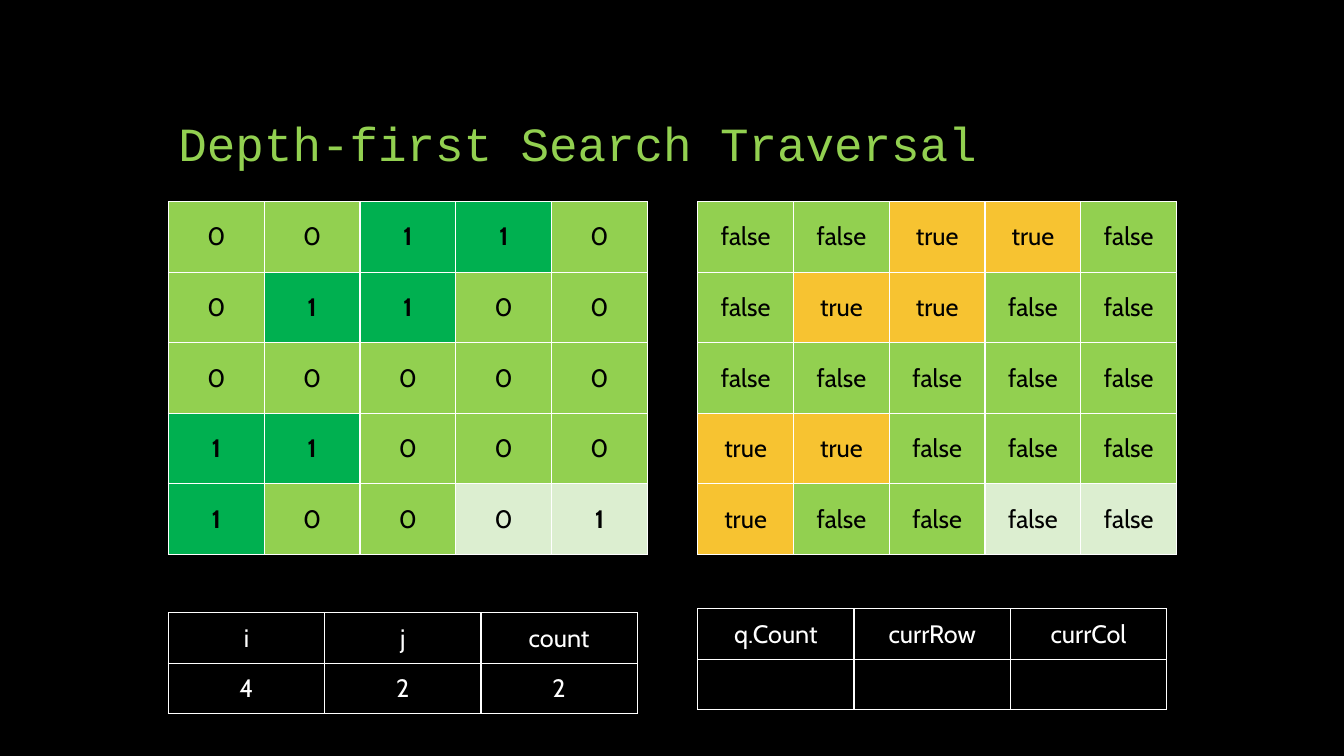
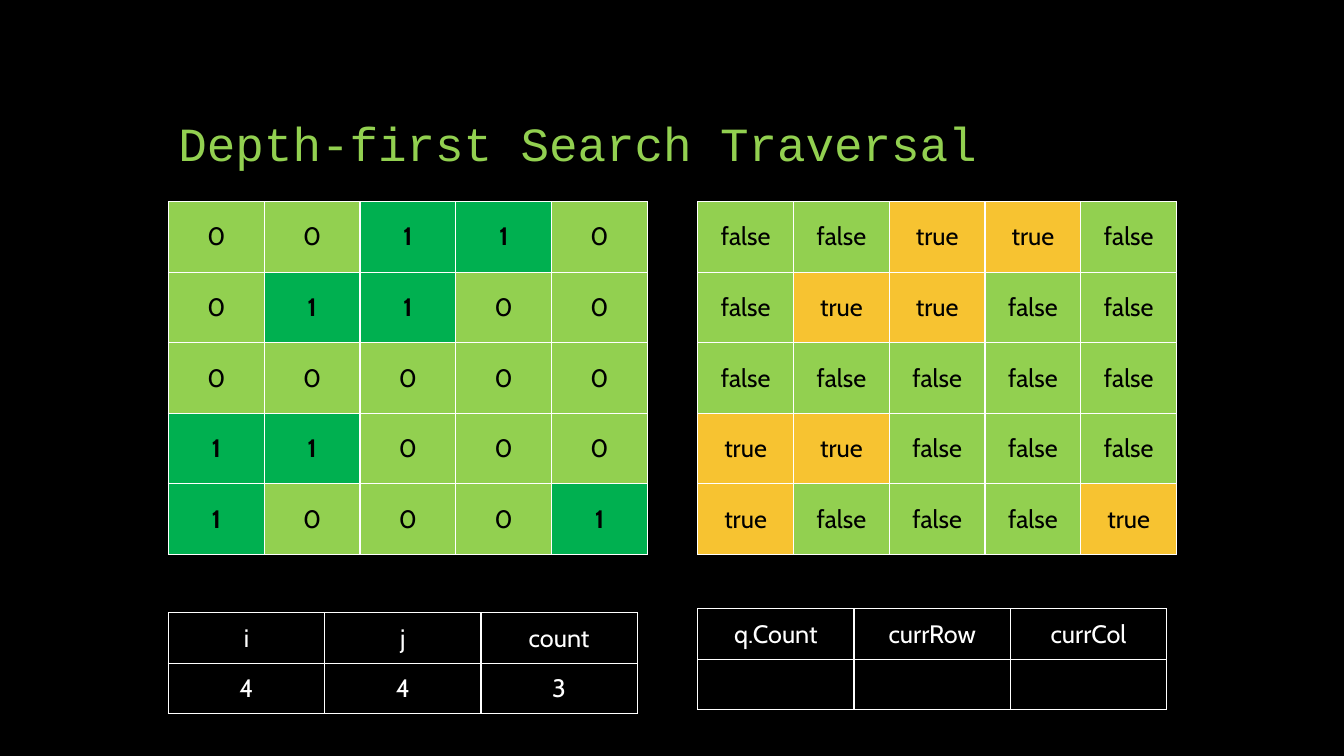
from lxml.etree import SubElement
from pptx import Presentation
from pptx.dml.color import RGBColor
from pptx.enum.text import MSO_ANCHOR, PP_ALIGN
from pptx.oxml.ns import qn
from pptx.util import Inches, Pt

HUES = {
    "black": "000000",
    "white": "FFFFFF",
    "lime": "92D050",
    "green": "00B050",
    "gold": "F7C331",
    "pale": "DCEED0",
}
LEFT, RIGHT = 1.67, 6.92
LAND = ["00110", "01100", "00000", "11000", "10001"]


def hue(name):
    return RGBColor.from_string(HUES[name])


class Deck:
    def __init__(self):
        self.prs = Presentation()
        self.prs.slide_width = Inches(13.33)
        self.prs.slide_height = Inches(7.5)
        self.slide = None

    def page(self, text):
        self.slide = self.prs.slides.add_slide(self.prs.slide_layouts[5])
        back = self.slide.background.fill
        back.solid()
        back.fore_color.rgb = hue("black")
        title = self.slide.shapes.title
        title.left, title.top = Inches(LEFT), Inches(0.5)
        title.width, title.height = Inches(10), Inches(1.25)
        frame = title.text_frame
        frame.text = text
        frame.vertical_anchor = MSO_ANCHOR.BOTTOM
        para = frame.paragraphs[0]
        para.alignment = PP_ALIGN.LEFT
        para.line_spacing = 0.9
        self.style(para.runs[0].font, "Courier New", 34, "lime")

    def style(self, font, face, size, color, bold=False):
        font.name = face
        font.size = Pt(size)
        font.bold = bold
        font.color.rgb = hue(color)

    def border(self, cell):
        props = cell._tc.get_or_add_tcPr()
        for side in ("lnL", "lnR", "lnT", "lnB"):
            line = SubElement(props, qn(f"a:{side}"), w=str(Pt(1)))
            fill = SubElement(line, qn("a:solidFill"))
            SubElement(fill, qn("a:srgbClr"), val=HUES["white"])

    def cell(self, cell, text, color, fill, bold):
        self.border(cell)
        if fill:
            cell.fill.solid()
            cell.fill.fore_color.rgb = hue(fill)
        else:
            cell.fill.background()
        cell.vertical_anchor = MSO_ANCHOR.MIDDLE
        cell.text_frame.text = text
        para = cell.text_frame.paragraphs[0]
        para.alignment = PP_ALIGN.CENTER
        for run in para.runs:
            self.style(run.font, "Cabin", 18, color, bold)

    def table(self, left, top, wide, high, rows, color):
        count, span = len(rows), len(rows[0])
        frame = self.slide.shapes.add_table(
            count, span, Inches(left), Inches(top),
            Inches(wide * span), Inches(high * count))
        table = frame.table
        table.first_row = table.horz_banding = False
        for col in table.columns:
            col.width = Inches(wide)
        for line, row in zip(table.rows, rows):
            line.height = Inches(high)
            for cell, (text, fill, bold) in zip(line.cells, row):
                self.cell(cell, text, color, fill, bold)

    def grid(self, left, rows):
        self.table(left, 2, 0.95, 0.7, rows, "black")

    def vars(self, left, top, names, values):
        rows = [[(text, None, False) for text in row] for row in (names, values)]
        self.table(left, top, 1.55, 0.5, rows, "white")

    def step(self, open_cells, values):
        self.page("Depth-first Search Traversal")
        land, seen = [], []
        for r, row in enumerate(LAND):
            land.append([])
            seen.append([])
            for c, mark in enumerate(row):
                isle = mark == "1"
                wait = (r, c) in open_cells
                done = isle and not wait
                base = "pale" if wait else "lime"
                land[r].append((mark, "green" if done else base, isle))
                seen[r].append(
                    ("true" if done else "false", "gold" if done else base, False))
        self.grid(LEFT, land)
        self.grid(RIGHT, seen)
        self.vars(LEFT, 6.08, ("i", "j", "count"), values)
        self.vars(RIGHT, 6.04, ("q.Count", "currRow", "currCol"), ("", "", ""))


def main():
    deck = Deck()
    deck.step({(4, 3), (4, 4)}, ("4", "2", "2"))
    deck.step(set(), ("4", "4", "3"))
    deck.prs.save("out.pptx")


if __name__ == "__main__":
    main()
